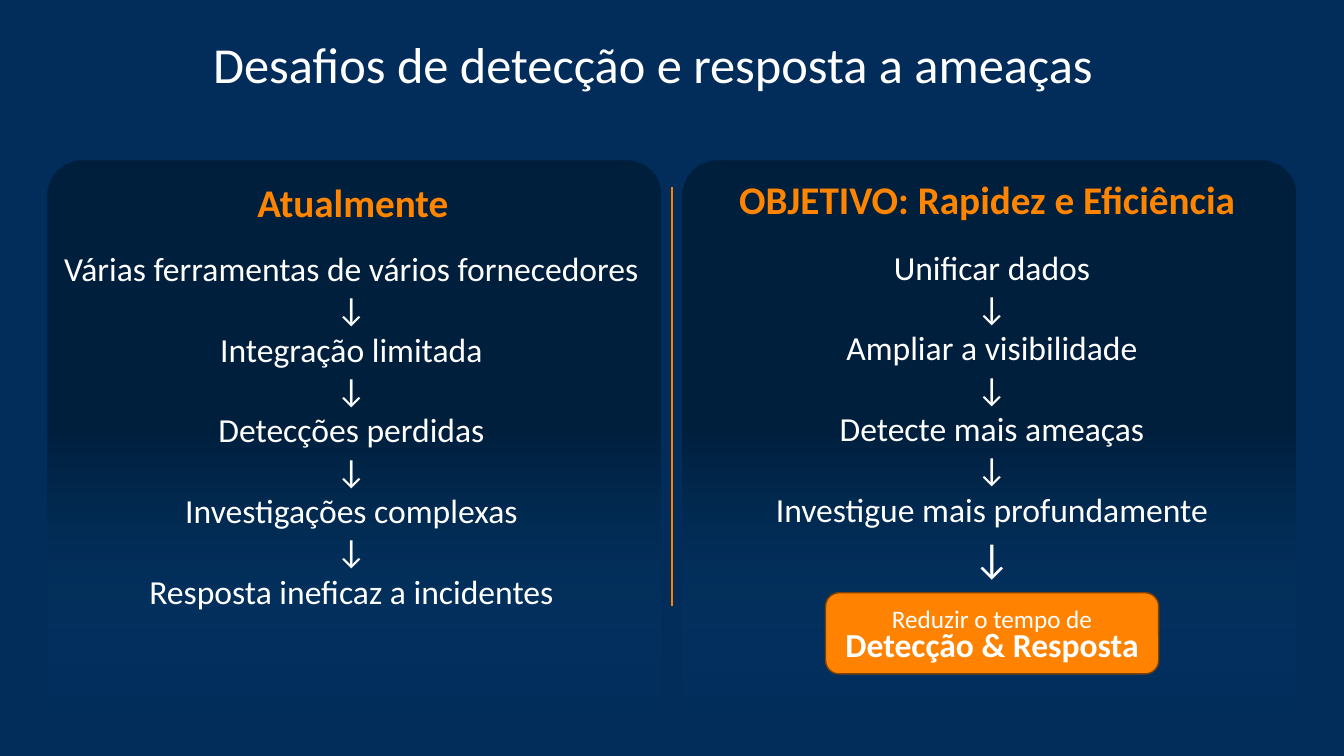
from lxml.etree import SubElement
from pptx import Presentation
from pptx.dml.color import RGBColor
from pptx.enum.shapes import MSO_CONNECTOR, MSO_SHAPE
from pptx.enum.text import MSO_ANCHOR, PP_ALIGN
from pptx.oxml.ns import qn
from pptx.util import Pt

NAVY = RGBColor(0x02, 0x2D, 0x5B)
CARD_TOP = RGBColor(0x00, 0x1F, 0x3D)
CARD_FADE = RGBColor(0x07, 0x40, 0x75)
ORANGE = RGBColor(0xFF, 0x83, 0x00)
HEADING = RGBColor(0xFF, 0x84, 0x00)
BROWN = RGBColor(0x80, 0x42, 0x00)
WHITE = RGBColor(0xFF, 0xFF, 0xFF)


def write(shape, lines, anchor=MSO_ANCHOR.MIDDLE, spacing=None):
    frame = shape.text_frame
    frame.word_wrap = True
    frame.vertical_anchor = anchor
    for index, (words, size, color, bold) in enumerate(lines):
        paragraph = frame.paragraphs[0] if index == 0 else frame.add_paragraph()
        paragraph.alignment = PP_ALIGN.CENTER
        paragraph.line_spacing = spacing
        run = paragraph.add_run()
        run.text = words
        run.font.color.rgb = color
        for name, value in {"name": "Calibri", "size": Pt(size), "bold": bold}.items():
            setattr(run.font, name, value)


def add_text(box, lines, anchor=MSO_ANCHOR.MIDDLE, spacing=None):
    write(slide.shapes.add_textbox(*map(Pt, box)), lines, anchor, spacing)


deck = Presentation()
deck.slide_width, deck.slide_height = Pt(960), Pt(540)
slide = deck.slides.add_slide(deck.slide_layouts[6])
slide.background.fill.solid()
slide.background.fill.fore_color.rgb = NAVY

for left in (33.8, 487.4):
    card = slide.shapes.add_shape(
        MSO_SHAPE.ROUND_2_SAME_RECTANGLE, Pt(left), Pt(115), Pt(438), Pt(392))
    card.adjustments[0] = 0.063
    card.shadow.inherit = False
    card.line.fill.background()
    card.fill.gradient()
    card.fill.gradient_angle = 90
    fade, top = card.fill.gradient_stops
    fade.color.rgb, fade.position = CARD_FADE, 0
    top.color.rgb, top.position = CARD_TOP, 0.51
    fade_color = card.fill._xPr.find(".//" + qn("a:srgbClr"))
    SubElement(fade_color, qn("a:alpha"), val="0")

add_text((47.5, 20, 838, 51),
         [("Desafios de detecção e resposta a ameaças", 36, WHITE, False)],
         anchor=MSO_ANCHOR.TOP)

divider = slide.shapes.add_connector(
    MSO_CONNECTOR.STRAIGHT, Pt(480), Pt(433), Pt(480), Pt(133.5))
divider.line.color.rgb = ORANGE
divider.line.width = Pt(1.5)
SubElement(divider._element.spPr, qn("a:effectLst"))

columns = [
    ("Atualmente", (33, 110, 438, 72), (31, 172, 440, 269.5),
     ["Várias ferramentas de vários fornecedores", "Integração limitada",
      "Detecções perdidas", "Investigações complexas",
      "Resposta ineficaz a incidentes"]),
    ("OBJETIVO: Rapidez e Eficiência", (487, 108, 436, 72), (490.5, 171.5, 436, 211),
     ["Unificar dados", "Ampliar a visibilidade", "Detecte mais ameaças",
      "Investigue mais profundamente"]),
]
for heading, heading_box, steps_box, steps in columns:
    add_text(heading_box, [(heading, 28, HEADING, True)], spacing=0.9)
    chain = [steps[0]]
    for step in steps[1:]:
        chain += ["↓", step]
    add_text(steps_box, [(words, 24, WHITE, False) for words in chain])

outcome = slide.shapes.add_shape(
    MSO_SHAPE.ROUNDED_RECTANGLE, Pt(589.7), Pt(423.4), Pt(238), Pt(58))
outcome.shadow.inherit = False
outcome.fill.solid()
outcome.fill.fore_color.rgb = ORANGE
outcome.line.color.rgb = BROWN
outcome.line.width = Pt(1)
write(outcome, [("Reduzir o tempo de", 18, WHITE, False),
                ("Detecção & Resposta", 24, WHITE, True)], spacing=Pt(22))

add_text((685.5, 376, 46, 44), [("↓", 30, WHITE, False)])

deck.save("out.pptx")
